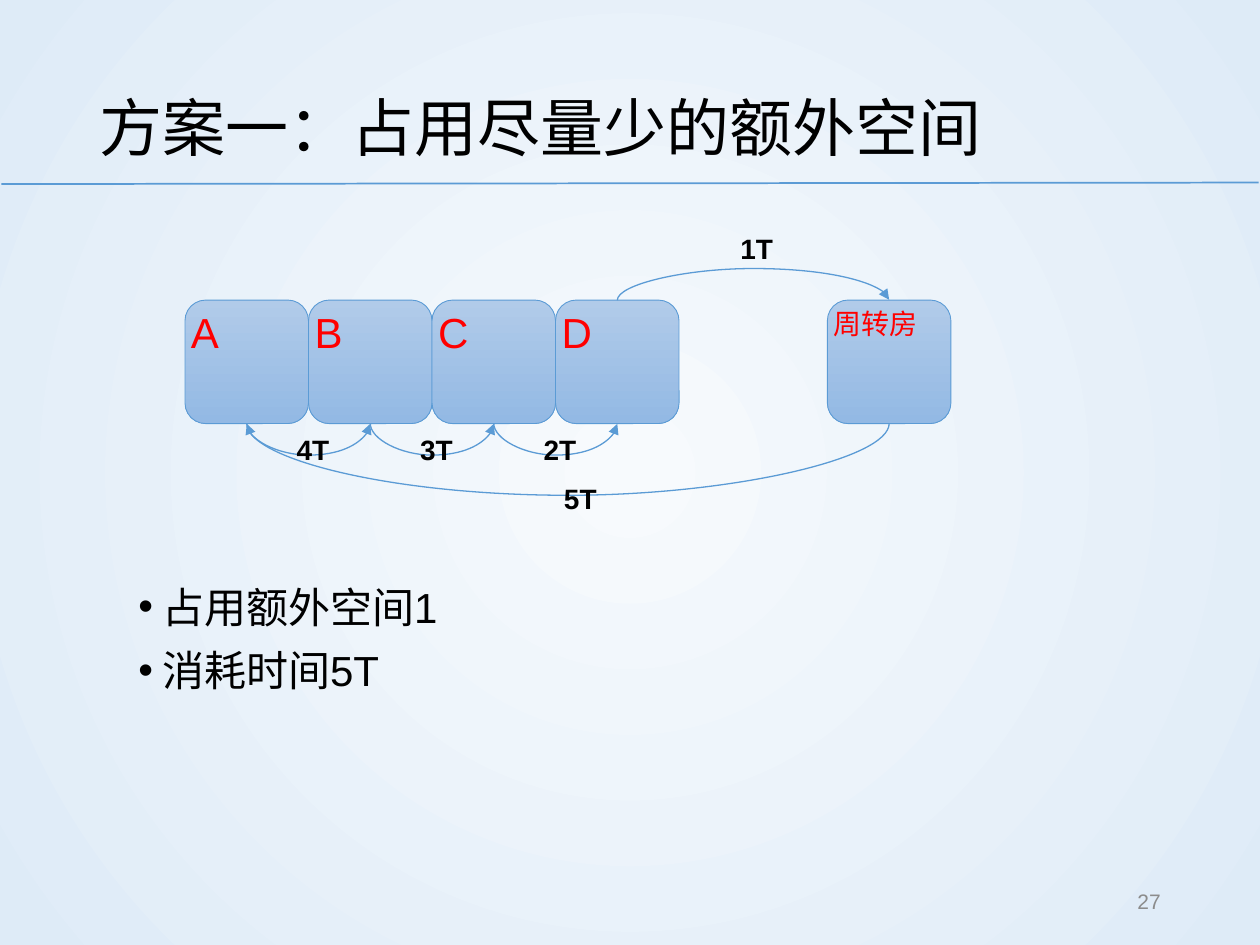
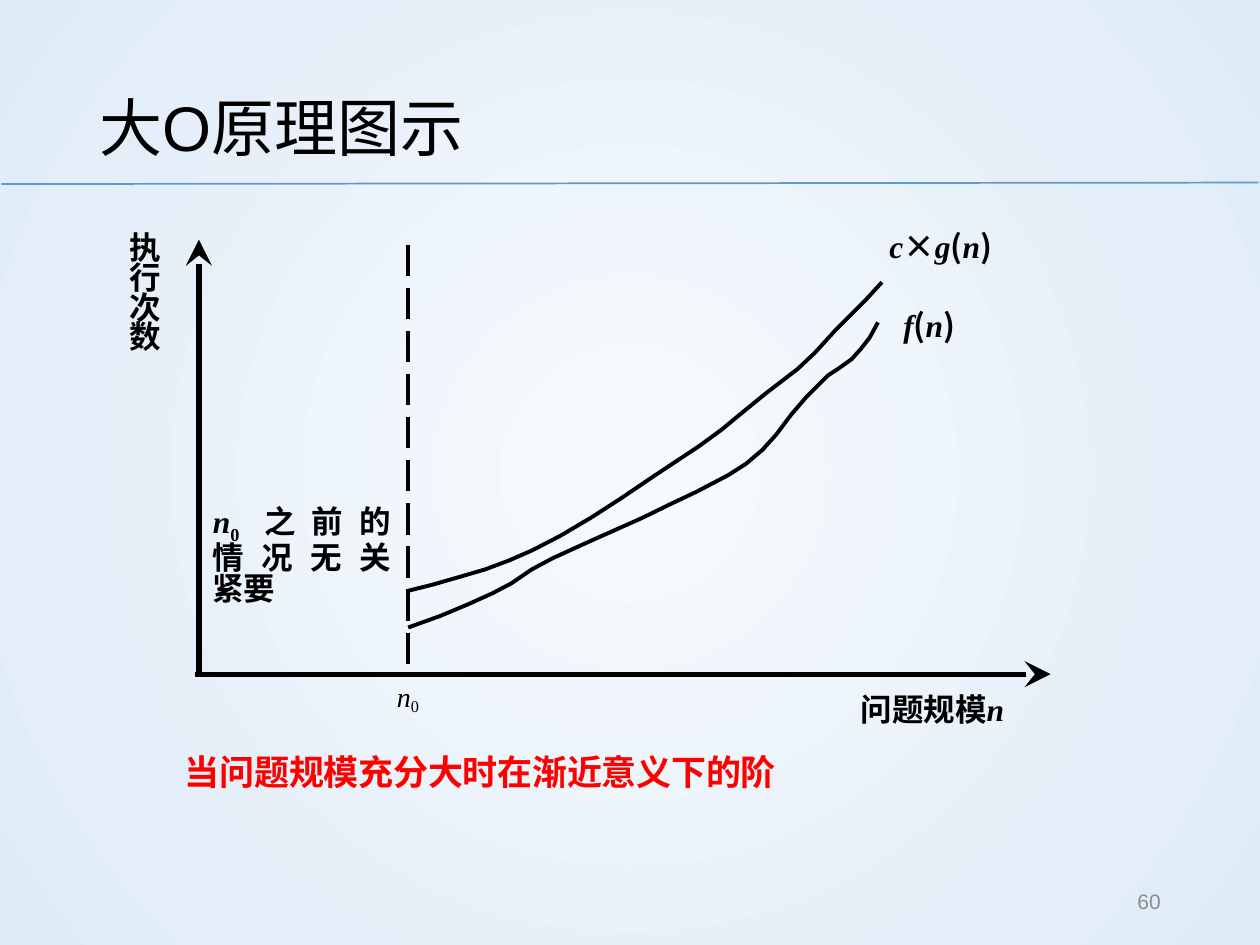
from dataclasses import dataclass
from itertools import groupby

from lxml.etree import SubElement as Sub
from pptx import Presentation
from pptx.dml.color import RGBColor as Rgb
from pptx.enum.dml import MSO_LINE as Dash
from pptx.enum.shapes import MSO_CONNECTOR as Link, MSO_SHAPE as Kind
from pptx.enum.text import MSO_ANCHOR as Anchor, MSO_AUTO_SIZE as Fit, PP_ALIGN as Align
from pptx.oxml import parse_xml
from pptx.oxml.ns import nsdecls, qn
from pptx.util import Cm, Pt


@dataclass(frozen=True)
class Theme:
    """Colours, faces and type sizes of the deck."""
    ink: str = "000000"
    red: str = "FF0000"
    grey: str = "8C8C8C"
    blue: str = "5B9BD5"
    back: tuple = ("F7FAFD", "DEEBF7")
    cell: tuple = ("B1CBE9", "93B9E4")
    sans: str = "Arial"
    serif: str = "Times New Roman"
    han: str = "Noto Sans CJK SC"
    head: int = 36
    body: int = 24
    lead: int = 20
    term: int = 18
    tag: int = 16
    foot: int = 12


T = Theme()
HAN = dict(name=T.han, size=T.term, bold=True)
MATH = dict(HAN, name=T.serif, italic=True)
TAG = dict(size=T.tag, bold=True)

CURVE_F = [
    (0, .94), (.64, 1.17), (1.19, 1.4), (1.7, 1.63), (2.08, 1.83), (2.49, 2.11),
    (2.92, 2.34), (3.58, 2.64), (4.72, 3.15), (5.23, 3.4), (5.82, 3.68), (6.45, 4.01),
    (6.81, 4.24), (7.14, 4.52), (7.42, 4.83), (7.72, 5.23), (8.03, 5.59), (8.26, 5.82),
    (8.46, 6.02), (8.69, 6.17), (8.94, 6.35), (9.12, 6.55), (9.3, 6.78), (9.47, 7.09)]
CURVE_G = [
    (0, 1.68), (.48, 1.8), (1.04, 1.96), (1.55, 2.11), (2.03, 2.29), (2.49, 2.49),
    (3.07, 2.79), (3.68, 3.15), (4.27, 3.53), (4.95, 3.99), (5.87, 4.6), (6.32, 4.93),
    (6.78, 5.31), (7.21, 5.66), (7.85, 6.15), (8.2, 6.48), (8.61, 6.93), (9.22, 7.54),
    (9.55, 7.9)]


def add_run(par, text, **fmt):
    """Add one run with the given format over the default one."""
    run = par.add_run()
    run.text = text
    props = run._r.get_or_add_rPr()
    look = dict(name=T.sans, size=T.body, color=T.ink) | fmt
    for key, value in look.items():
        if key == "color":
            run.font.color.rgb = Rgb.from_string(value)
        elif key == "size":
            run.font.size = Pt(value)
        elif key in ("spc", "baseline"):
            props.set(key, str(value))
        else:
            setattr(run.font, key, value)
    Sub(props, qn("a:ea"), typeface=T.han)


def add_box(slide, box, runs, edge=0, anchor=Anchor.TOP, **form):
    """Add a text box with one paragraph of (text, format) runs."""
    frame = slide.shapes.add_textbox(*map(Cm, box)).text_frame
    set_frame(frame, (edge, edge / 2, edge, edge / 2), anchor)
    par = frame.paragraphs[0]
    for key, value in form.items():
        setattr(par, key, value)
    for text, fmt in runs:
        add_run(par, text, **fmt)
    return frame


def set_frame(frame, edges, anchor):
    """Set the wrap, fit, anchor and insets of a text frame."""
    sides = ("left", "top", "right", "bottom")
    form = {f"margin_{side}": Cm(edge) for side, edge in zip(sides, edges)}
    form |= dict(word_wrap=True, auto_size=Fit.NONE, vertical_anchor=anchor)
    for key, value in form.items():
        setattr(frame, key, value)


def formula(text):
    """Split text into italic letters and upright signs."""
    groups = groupby(text, lambda sign: sign.isascii() and sign.isalpha())
    return [("".join(part), MATH if letter else HAN) for letter, part in groups]


def add_line(slide, ends, color, width, head=None, kind=Link.STRAIGHT):
    """Draw a line between two points, with an arrowhead if asked."""
    line = slide.shapes.add_connector(kind, *map(Cm, ends))
    line.line.color.rgb = Rgb.from_string(color)
    line.line.width = Pt(width)
    if head:
        shape, size = head
        Sub(line.line._get_or_add_ln(), qn("a:tailEnd"), type=shape, w=size, len=size)
    Sub(line._element.spPr, qn("a:effectLst"))
    return line


def set_stops(fill, colors):
    """Give a gradient fill its two colours."""
    fill.gradient()
    for stop, color in zip(fill.gradient_stops, colors):
        stop.color.rgb = Rgb.from_string(color)


def paint_back(master):
    """Paint the round gradient behind every slide."""
    fill = master.background.fill
    set_stops(fill, T.back)
    grad = master._element.find(".//" + qn("a:gradFill"))
    grad.replace(grad.find(qn("a:lin")), parse_xml(
        f'<a:path {nsdecls("a")} path="circle">'
        '<a:fillToRect l="50000" t="50000" r="50000" b="50000"/></a:path>'))


def new_slide(deck, title, number):
    """Add a slide with its title, rule and page number."""
    slide = deck.slides.add_slide(deck.slide_layouts[5])
    head = slide.shapes.title
    sides = zip(("left", "top", "width", "height"), (1.75, 1.02, 21.9, 2.74))
    for side, value in sides:
        setattr(head, side, Cm(value))
    set_frame(head.text_frame, (.25, .13, .25, .13), Anchor.MIDDLE)
    par = head.text_frame.paragraphs[0]
    par.alignment, par.line_spacing = Align.LEFT, 1.2
    add_run(par, title, size=T.head)
    add_line(slide, (.03, 3.71, 25.37, 3.68), T.blue, 1)
    add_box(slide, (17.93, 17.65, 5.72, 1.02), [(number, dict(size=T.foot, color=T.grey))],
            .25, Anchor.MIDDLE, alignment=Align.RIGHT)
    return slide


def add_cell(slide, left, top, side, name, size):
    """Draw one rounded room with its name."""
    cell = slide.shapes.add_shape(Kind.ROUNDED_RECTANGLE, *map(Cm, (left, top, side, side)))
    cell.shadow.inherit = False
    set_stops(cell.fill, T.cell)
    cell.fill.gradient_angle = 270
    cell.line.color.rgb = Rgb.from_string(T.blue)
    cell.line.width = Pt(.5)
    set_frame(cell.text_frame, (0, 0, .5, 0), Anchor.TOP)
    par = cell.text_frame.paragraphs[0]
    par.alignment = Align.LEFT
    add_run(par, name, size=size, color=T.red)


def add_arc(slide, start, end, level, drop, rise):
    """Bow an arrow between two points of one level."""
    thin = .01
    mid, half = (start + end) / 2, (end - start) / 2
    lean = thin / 2 if rise else -thin / 2
    ends = (mid + lean, level + half, mid - lean, level - half)
    arc = add_line(slide, ends, T.blue, .75, ("triangle", "med"), Link.CURVE)
    arc._element.spPr.find(qn("a:xfrm")).set("rot", "5400000")
    geom = arc._element.spPr.find(qn("a:prstGeom"))
    guides = geom.find(qn("a:avLst"))
    if guides is None:
        guides = Sub(geom, qn("a:avLst"))
    Sub(guides, qn("a:gd"), name="adj1", fmla=f"val {round(drop / thin * 100000)}")


def add_rooms(slide, left, top, side):
    """Draw the row of rooms, the spare room and the moves."""
    spots = [left + side * step for step in range(4)] + [left + 12.95]
    for spot, name in zip(spots, ("A", "B", "C", "D", "周转房")):
        add_cell(slide, spot, top, side, name, T.body if len(name) == 1 else T.tag)
    base = top + side
    moves = [("1T", 3, 4, top, .64, -.51, -1.5), ("2T", 2, 3, base, .64, -.49, .05),
             ("3T", 1, 2, base, .64, -.49, .05), ("4T", 0, 1, base, .64, -.49, .05),
             ("5T", 4, 0, base, 1.45, -.33, 1.04)]
    for name, src, dest, level, drop, shift, fall in moves:
        start, end = spots[src] + side / 2, spots[dest] + side / 2
        add_arc(slide, start, end, level, drop, level == top)
        add_box(slide, ((start + end) / 2 + shift, level + fall, 1.5, .94), [(name, TAG)], .25)


def add_list(slide, box, items):
    """Write the bulleted points."""
    frame = add_box(slide, box, [], .25)
    for index, item in enumerate(items):
        par = frame.add_paragraph() if index else frame.paragraphs[0]
        par.space_before = Pt(7.5 if index else 0)
        props = par._p.get_or_add_pPr()
        props.set("marL", str(Cm(.48)))
        props.set("indent", str(Cm(-.48)))
        Sub(props, qn("a:buFont"), typeface=T.sans)
        Sub(props, qn("a:buChar"), char="•")
        add_run(par, item)


def add_curve(slide, left, base, points):
    """Draw a curve from points measured from the foot of the dashed line."""
    spots = [(Cm(left + across), Cm(base - up)) for across, up in points]
    pen = slide.shapes.build_freeform(*spots[0])
    pen.add_line_segments(spots[1:], close=False)
    curve = pen.convert_to_shape()
    curve.shadow.inherit = False
    curve.fill.background()
    curve.line.color.rgb = Rgb.from_string(T.ink)
    curve.line.width = Pt(2.25)


def add_plot(slide, left, top, width, height):
    """Draw the axes, the two growth curves and their labels."""
    base, gate = top + height, left + 4.22
    barb = ("stealth", "lg")
    add_line(slide, (left - .07, base, left + width, base), T.ink, 3, barb)
    add_line(slide, (left, base, left, top), T.ink, 3, barb)
    dash = add_line(slide, (gate, top + .1, gate, base), T.ink, 2.25)
    dash.line.dash_style = Dash.LONG_DASH
    for points in (CURVE_F, CURVE_G):
        add_curve(slide, gate, base, points)
    mark = dict(name=T.serif, size=T.tag)
    note = [("n", MATH), ("0 ", dict(MATH, italic=False, baseline=-23000)),
            ("之前", dict(HAN, spc=310)), ("的 ", dict(HAN, spc=-20)),
            ("情况无", dict(HAN, spc=300)), ("关 紧要", dict(HAN, spc=-20))]
    labels = [
        ((-.28, 10.31, 14.27, .86),
         [("当问题规模充分大时在渐近意义下的阶", dict(HAN, size=T.lead, color=T.red, spc=-20))],
         dict(line_spacing=Pt(23.8))),
        ((3.99, 8.86, .66, .84),
         [("n", dict(mark, italic=True)), ("0", dict(mark, baseline=-20000))], {}),
        ((13.34, 9.09, 3.51, .76), formula("问题规模n"), {}),
        ((-1.39, -.08, .84, 2.46), [("执 行 次 数", HAN)], dict(line_spacing=Pt(17.1))),
        ((.28, 5.53, 3.58, 1.35), note,
         dict(line_spacing=Pt(17.7), alignment=Align.JUSTIFY)),
        ((14.2, 1.34, 1.7, .76), formula("f(n)"), {}),
        ((13.92, -.26, 2.59, .76), formula("c×g(n)"), {})]
    for (across, down, *size), runs, form in labels:
        add_box(slide, (left + across, top + down, *size), runs, **form)


def main():
    """Build the deck and save it."""
    deck = Presentation()
    deck.slide_width, deck.slide_height = Cm(25.4), Cm(19.05)
    paint_back(deck.slide_master)
    slide = new_slide(deck, "方案一：占用尽量少的额外空间", "27")
    add_list(slide, (2.54, 11.59, 20.47, 5.41), ("占用额外空间1", "消耗时间5T"))
    add_rooms(slide, 3.73, 6.05, 2.49)
    slide = new_slide(deck, "大O原理图示", "60")
    add_plot(slide, 4.01, 4.83, 17.17, 8.76)
    deck.save("out.pptx")


if __name__ == "__main__":
    main()
